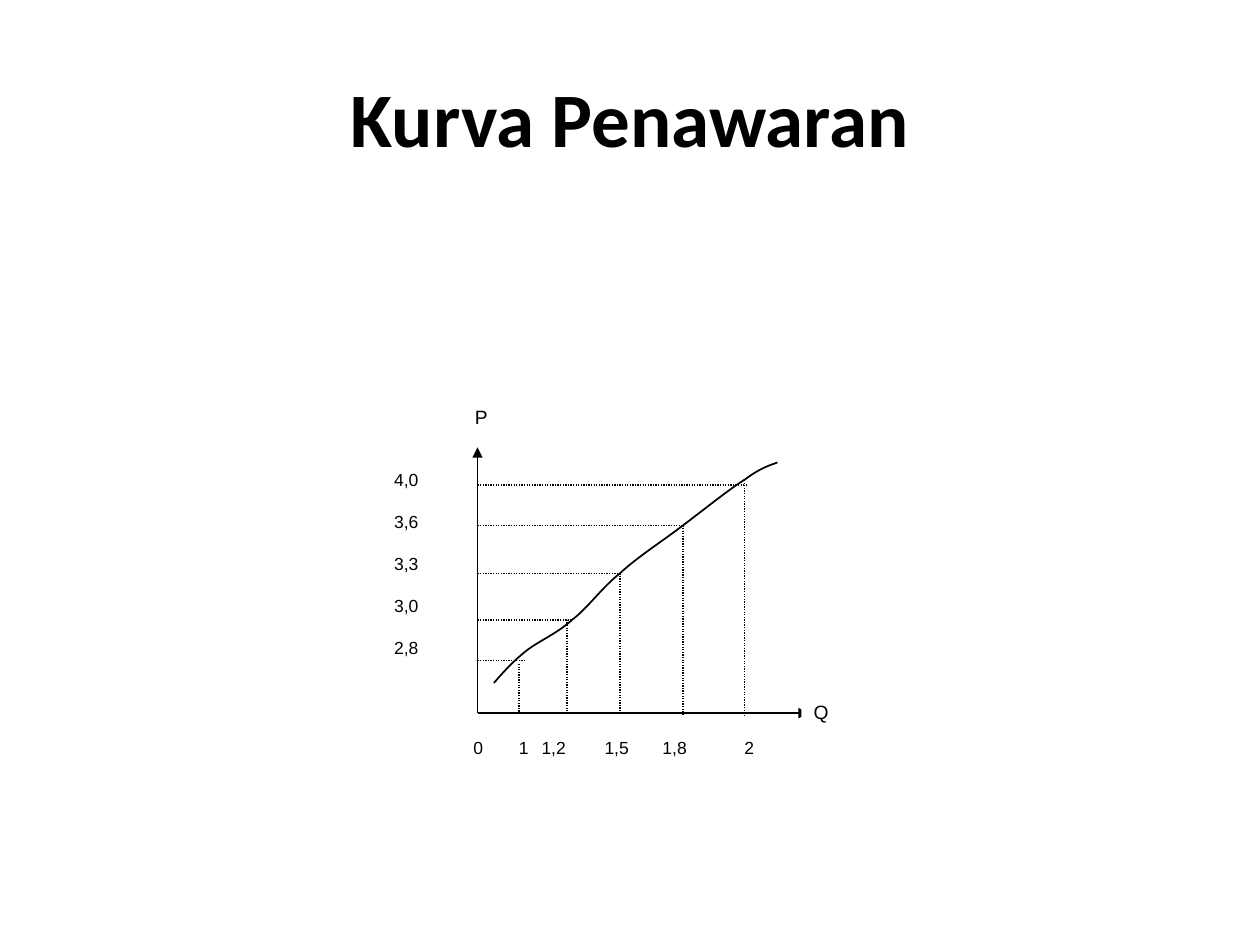
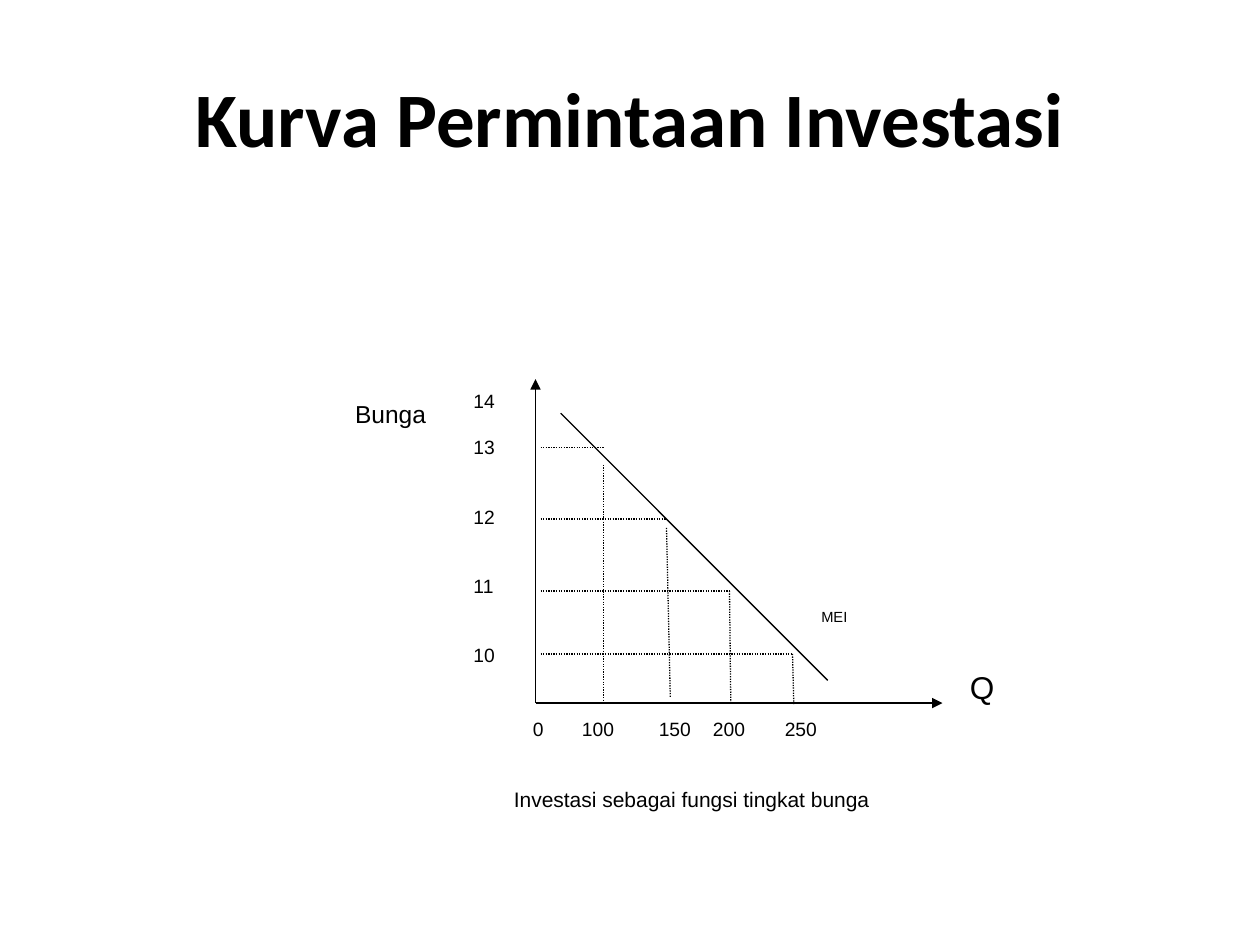
from lxml import etree
from pptx import Presentation
from pptx.dml.color import RGBColor
from pptx.enum.dml import MSO_LINE
from pptx.enum.shapes import MSO_CONNECTOR, MSO_SHAPE
from pptx.enum.text import MSO_ANCHOR, PP_ALIGN
from pptx.oxml.ns import qn
from pptx.util import Inches, Pt

STRAIGHT = MSO_CONNECTOR.STRAIGHT
RECTANGLE = MSO_SHAPE.RECTANGLE
DOTTED = MSO_LINE.ROUND_DOT
TOP, MIDDLE = MSO_ANCHOR.TOP, MSO_ANCHOR.MIDDLE
LEFT, CENTER = PP_ALIGN.LEFT, PP_ALIGN.CENTER
BLACK, WHITE = "000000", "FFFFFF"
TITLE_FONT, LABEL_FONT = "Calibri", "Arial"


def color(hex_value):
    """Turn a hex string into a colour."""
    return RGBColor.from_string(hex_value)


def style_font(font, name, size, bold=False):
    """Set a black font of the given name and size."""
    font.name, font.size, font.bold = name, Pt(size), bold
    font.color.rgb = color(BLACK)


def add_page(deck, title):
    """Add a white page with the shared bold title."""
    page = deck.slides.add_slide(deck.slide_layouts[5])
    page.background.fill.solid()
    page.background.fill.fore_color.rgb = color(WHITE)
    box = page.shapes.title
    box.left, box.top, box.width, box.height = map(Inches, (0.5, 0.3, 9, 1.25))
    box.text_frame.text = title
    box.text_frame.vertical_anchor = MIDDLE
    para = box.text_frame.paragraphs[0]
    para.alignment = CENTER
    style_font(para.font, TITLE_FONT, 44, True)
    return page


def add_line(page, start, end, width=0.75, dash=None, arrow=False):
    """Draw a straight black line, dotted or with an arrowhead at its end."""
    line = page.shapes.add_connector(STRAIGHT, *map(Inches, (*start, *end)))
    line.line.color.rgb = color(BLACK)
    line.line.width = Pt(width)
    if dash:
        line.line.dash_style = dash
    if arrow:
        etree.SubElement(line.line._get_or_add_ln(), qn("a:tailEnd"), type="triangle")
    etree.SubElement(line._element.spPr, qn("a:effectLst"))


def add_axes(page, top, bottom, right, width):
    """Draw the upward and the rightward axis; bottom and right are points."""
    add_line(page, bottom, (bottom[0], top), width, arrow=True)
    add_line(page, bottom, right, width, arrow=True)


def add_guides(page, axis_left, levels, drops):
    """Draw dotted lines from the vertical axis and down to the horizontal one."""
    for y, right in levels:
        add_line(page, (axis_left, y), (right, y), dash=DOTTED)
    for start, end in drops:
        add_line(page, start, end, dash=DOTTED)


def add_label(page, area, lines, size, gaps=(), tabs=(), spacing=None):
    """Add a white label box with one paragraph per line."""
    box = page.shapes.add_shape(RECTANGLE, *map(Inches, area))
    box.shadow.inherit = False
    box.fill.solid()
    box.fill.fore_color.rgb = color(WHITE)
    box.line.fill.background()
    frame = box.text_frame
    frame.word_wrap = True
    frame.vertical_anchor = TOP
    frame.text = "\n".join(lines)
    for para, gap in zip(frame.paragraphs, (0, *gaps)):
        para.alignment = LEFT
        if gap:
            para.space_before = Pt(gap)
        if spacing:
            para.line_spacing = spacing
        if tabs:
            tab_list = etree.SubElement(para._p.get_or_add_pPr(), qn("a:tabLst"))
            for position in tabs:
                etree.SubElement(tab_list, qn("a:tab"), pos=str(Inches(position)), algn="l")
        style_font(para.font, LABEL_FONT, size)


def add_curve(page, points):
    """Draw a Bezier curve through a start point and triples of control points."""
    start, *controls = [(Inches(x), Inches(y)) for x, y in points]
    builder = page.shapes.build_freeform(*start)
    builder.add_line_segments(controls, close=False)
    curve = builder.convert_to_shape()
    curve.shadow.inherit = False
    curve.fill.background()
    curve.line.color.rgb = color(BLACK)
    curve.line.width = Pt(1)
    path = next(curve._element.iter(qn("a:path")))
    segments = path.findall(qn("a:lnTo"))
    for first in range(0, len(segments), 3):
        bezier = etree.SubElement(path, qn("a:cubicBezTo"))
        for segment in segments[first:first + 3]:
            bezier.append(segment[0])
            path.remove(segment)


def add_supply_page(deck):
    """Add the supply curve."""
    page = add_page(deck, "Kurva Penawaran")
    add_axes(page, 3.55, (3.79, 5.66), (6.42, 5.66), 0.75)
    add_label(page, (3.67, 3.17, 0.38, 0.37), ["P"], 11)
    add_label(page, (6.36, 5.51, 0.38, 0.38), ["Q"], 11)
    add_label(page, (3.66, 5.8, 2.7, 0.37), ["0\t1\t1,2\t1,5\t1,8\t2"], 10,
              tabs=(0.36, 0.54, 1.04, 1.5, 2.15))
    add_label(page, (3.03, 3.67, 0.5, 1.87), ["4,0", "3,6", "3,3", "3,0", "2,8"], 10,
              gaps=[12] * 4)
    levels = [(3.85, 5.92), (4.17, 5.42), (4.55, 4.92), (4.92, 4.54), (5.24, 4.17)]
    drops = [((5.91, 3.81), (5.91, 5.68)), ((5.42, 4.17), (5.42, 5.67)),
             ((4.92, 4.55), (4.92, 5.67)), ((4.5, 4.92), (4.5, 5.67)),
             ((4.12, 5.27), (4.12, 5.65))]
    add_guides(page, 3.79, levels, drops)
    add_curve(page, [
        (3.92, 5.42),
        (3.99, 5.34), (4.06, 5.26), (4.17, 5.17),
        (4.27, 5.09), (4.42, 5.03), (4.54, 4.92),
        (4.67, 4.82), (4.77, 4.67), (4.92, 4.55),
        (5.06, 4.42), (5.25, 4.3), (5.42, 4.17),
        (5.58, 4.05), (5.79, 3.88), (5.92, 3.8),
        (6.04, 3.71), (6.12, 3.69), (6.17, 3.67)])


def add_investment_page(deck):
    """Add the investment demand curve."""
    page = add_page(deck, "Kurva Permintaan Investasi")
    add_axes(page, 3.01, (4.25, 5.58), (7.48, 5.58), 1)
    add_label(page, (3.66, 3.04, 0.5, 3.01), ["14", "13", "12", "11", "10"], 11,
              gaps=(13.2, 26.4, 26.4, 26.4))
    levels = [(3.55, 4.8), (4.12, 5.29), (4.69, 5.79), (5.19, 6.29)]
    drops = [((4.79, 3.69), (4.79, 5.57)), ((5.29, 4.19), (5.32, 5.53)),
             ((5.79, 4.69), (5.8, 5.59)), ((6.29, 5.19), (6.3, 5.59))]
    add_guides(page, 4.29, levels, drops)
    add_label(page, (3.98, 6.19, 3.25, 0.38), ["Investasi sebagai fungsi tingkat bunga"], 12)
    add_label(page, (2.72, 3.12, 0.87, 0.6), ["Bunga"], 14)
    add_line(page, (4.45, 3.28), (6.57, 5.4))
    add_label(page, (6.42, 4.8, 0.63, 0.25), ["MEI"], 8.4, spacing=0.8)
    add_label(page, (4.13, 5.64, 3.28, 0.38), ["0\t100\t150\t200\t250"], 11,
              tabs=(0.39, 1, 1.43, 2))
    add_label(page, (7.6, 5.25, 0.47, 0.4), ["Q"], 18)


def main():
    """Build and save the deck."""
    deck = Presentation()
    deck.slide_width, deck.slide_height = Inches(10), Inches(7.5)
    add_supply_page(deck)
    add_investment_page(deck)
    deck.save("out.pptx")


if __name__ == "__main__":
    main()
